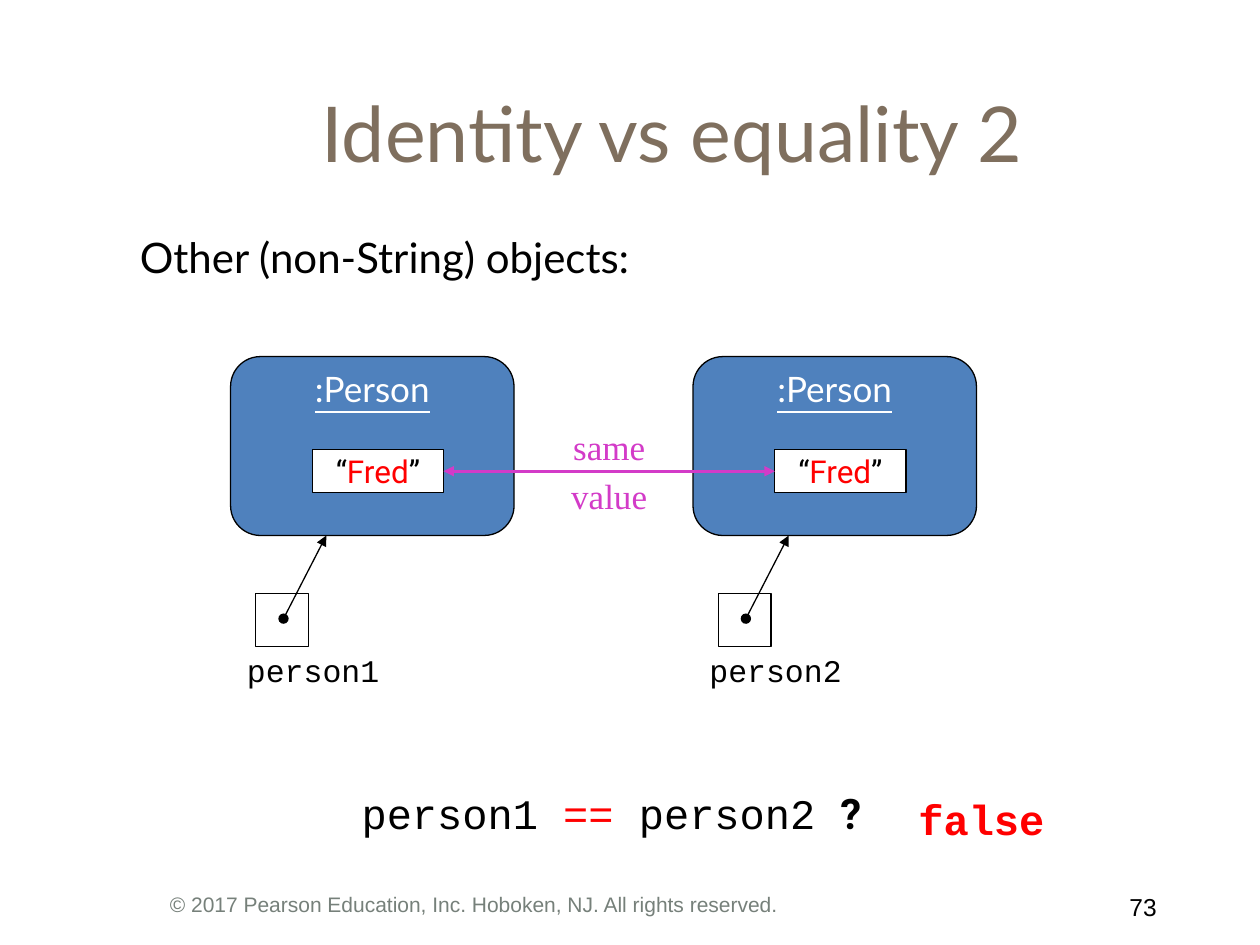
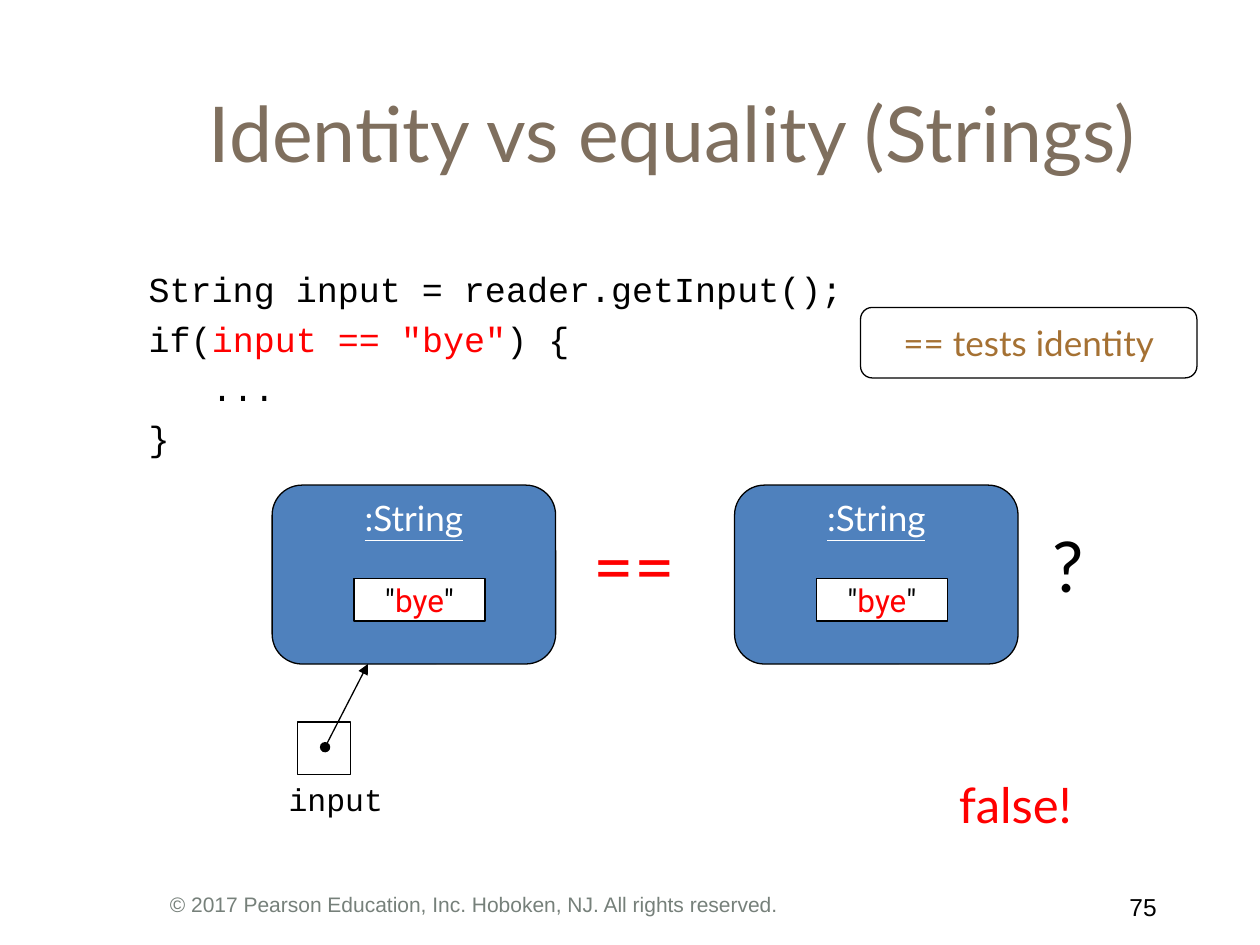
"""Build two slides on identity and equality of objects."""
from dataclasses import dataclass
from typing import NamedTuple

from lxml.etree import SubElement
from pptx import Presentation
from pptx.dml.color import RGBColor
from pptx.enum.shapes import MSO_CONNECTOR, MSO_SHAPE
from pptx.enum.text import MSO_ANCHOR, PP_ALIGN
from pptx.oxml.ns import qn
from pptx.util import Inches, Pt

HUES = {
    "black": "000000",
    "white": "FFFFFF",
    "red": "FF0000",
    "blue": "4F81BD",
    "title": "7F6F5E",
    "foot": "76807A",
    "pink": "D33BC8",
    "tan": "A57133",
}
CODE = "Courier New"
CREDIT = "© 2017 Pearson Education, Inc. Hoboken, NJ. All rights reserved."
STEP = 3.67
TIGHT = (0.04, 0, 0.04, 0)
PADDED = (0.1, 0.05, 0.1, 0.05)


class Run(NamedTuple):
    text: str
    hue: str = ""
    font: str = ""
    bold: bool = False


@dataclass
class Object:
    kind: str
    value: str
    quotes: str
    name: str = ""


def color(hue: str) -> RGBColor:
    return RGBColor.from_string(HUES[hue])


def write(frame, *lines, size=20, font="Lato", hue="black", bold=False, under=False,
          align=PP_ALIGN.LEFT, anchor=MSO_ANCHOR.TOP, pad=TIGHT, wrap=True, gap=0):
    frame.word_wrap = wrap
    frame.vertical_anchor = anchor
    frame.margin_left, frame.margin_top, frame.margin_right, frame.margin_bottom = map(Inches, pad)
    for i, line in enumerate(lines):
        para = frame.add_paragraph() if i else frame.paragraphs[0]
        para.alignment = align
        para.space_before = Pt(gap if i else 0)
        for part in [Run(line)] if isinstance(line, str) else line:
            run = para.add_run()
            run.text = part.text
            run.font.size = Pt(size)
            run.font.name = part.font or font
            run.font.bold = bold or part.bold
            run.font.underline = under
            run.font.color.rgb = color(part.hue or hue)


def label(slide, left: float, top: float, width: float, height: float, *lines, **style):
    box = slide.shapes.add_textbox(*map(Inches, (left, top, width, height)))
    write(box.text_frame, *lines, **style)


def block(slide, left: float, top: float, width: float, height: float, fill="", curved=False):
    form = MSO_SHAPE.ROUNDED_RECTANGLE if curved else MSO_SHAPE.RECTANGLE
    shape = slide.shapes.add_shape(form, *map(Inches, (left, top, width, height)))
    shape.shadow.inherit = False
    if curved:
        shape.adjustments[0] = 0.167
    if fill:
        shape.fill.solid()
        shape.fill.fore_color.rgb = color(fill)
    else:
        shape.fill.background()
    shape.line.color.rgb = color("black")
    shape.line.width = Pt(0.75)
    return shape


def arrow(slide, x1: float, y1: float, x2: float, y2: float, head: str, hue="black", weight=0.75):
    line = slide.shapes.add_connector(MSO_CONNECTOR.STRAIGHT, *map(Inches, (x1, y1, x2, y2)))
    line.line.color.rgb = color(hue)
    line.line.width = Pt(weight)
    props = line._element.spPr
    stroke = props.find(qn("a:ln"))
    SubElement(stroke, qn("a:headEnd"), type=head)
    SubElement(stroke, qn("a:tailEnd"), type="triangle")
    SubElement(props, qn("a:effectLst"))
    return line


def draw(slide, item: Object, left: float, top: float):
    """Draw an object with its value and reference; return the value box."""
    body = block(slide, left, top, 2.25, 1.42, "blue", curved=True)
    write(body.text_frame, item.kind, hue="white", under=True,
          align=PP_ALIGN.CENTER, pad=(0.04, 0.02, 0.04, 0))
    field = block(slide, left + 0.65, top + 0.74, 1.04, 0.34, "white")
    start, end = item.quotes
    write(field.text_frame, [Run(start), Run(item.value, "red"), Run(end)], size=18,
          font="Roboto", align=PP_ALIGN.CENTER, anchor=MSO_ANCHOR.MIDDLE, wrap=False)
    if item.name:
        block(slide, left + 0.2, top + 1.88, 0.42, 0.42)
        arrow(slide, left + 0.42, top + 2.08, left + 0.76, top + 1.42, "oval")
        label(slide, left + 0.09, top + 2.34, 1.4, 0.3, item.name, size=18, font=CODE)
    return field


def row(slide, items: list[Object], left: float, top: float) -> list:
    return [draw(slide, item, left + i * STEP, top) for i, item in enumerate(items)]


def start(deck, title: str, page: int):
    slide = deck.slides.add_slide(deck.slide_layouts[5])
    head = slide.shapes.title
    head.left, head.top, head.width, head.height = map(Inches, (1.08, 0.42, 8.5, 1.25))
    write(head.text_frame, title, size=44, hue="title", align=PP_ALIGN.CENTER,
          anchor=MSO_ANCHOR.MIDDLE, pad=(0.1, 0.05, 0.09, 0.05))
    label(slide, 1.25, 7.03, 7.58, 0.33, CREDIT, size=12, font="Arial", hue="foot", pad=PADDED)
    label(slide, 8.75, 7.03, 0.58, 0.33, str(page), size=14, font="Arial",
          align=PP_ALIGN.RIGHT, pad=(0.1, 0.05, 0.15, 0.05))
    return slide


def people(deck):
    slide = start(deck, "Identity vs equality 2", 73)
    label(slide, 1.07, 1.84, 7.43, 0.5, "Other (non-String) objects:", size=24)
    pair = [Object(":Person", "Fred", "“”", f"person{n}") for n in (1, 2)]
    left, right = row(slide, pair, 1.83, 2.83)
    link = arrow(slide, 3.52, 3.74, 6.15, 3.74, "triangle", "pink", 1.5)
    link.begin_connect(left, 3)
    link.end_connect(right, 1)
    label(slide, 4.25, 3.33, 1.17, 0.83, "same", "value", font="Times New Roman",
          hue="pink", align=PP_ALIGN.CENTER, pad=PADDED, gap=4)
    test = [Run("person1 "), Run("==", "red"), Run(" person2 "), Run("?", font="Roboto", bold=True)]
    label(slide, 2.83, 6.25, 4.2, 0.4, test, size=24, font=CODE)
    label(slide, 7.19, 6.25, 1.31, 0.5, "false", size=24, font=CODE, hue="red", bold=True, pad=PADDED)


def strings(deck):
    slide = start(deck, "Identity vs equality (Strings)", 75)
    label(slide, 1.14, 2.12, 5.64, 1.56,
          "String input = reader.getInput();",
          [Run("if("), Run('input == "bye"', "red"), Run(") {")],
          "   ...", "}", font=CODE, wrap=False, gap=4.5)
    note = block(slide, 6.83, 2.44, 2.67, 0.56, curved=True)
    write(note.text_frame, "== tests identity", hue="tan", align=PP_ALIGN.CENTER,
          anchor=MSO_ANCHOR.MIDDLE)
    row(slide, [Object(":String", "bye", '""', name) for name in ("input", "")], 2.16, 3.85)
    label(slide, 4.67, 4.15, 0.75, 0.67, "==", size=40, hue="red", wrap=False)
    label(slide, 8.31, 4.15, 0.33, 0.67, "?", size=40, wrap=False)
    label(slide, 7.57, 6.15, 1.07, 0.47, "false!", size=28, hue="red", wrap=False)


def main():
    deck = Presentation()
    deck.slide_width, deck.slide_height = Inches(10), Inches(7.5)
    people(deck)
    strings(deck)
    deck.save("out.pptx")


if __name__ == "__main__":
    main()
